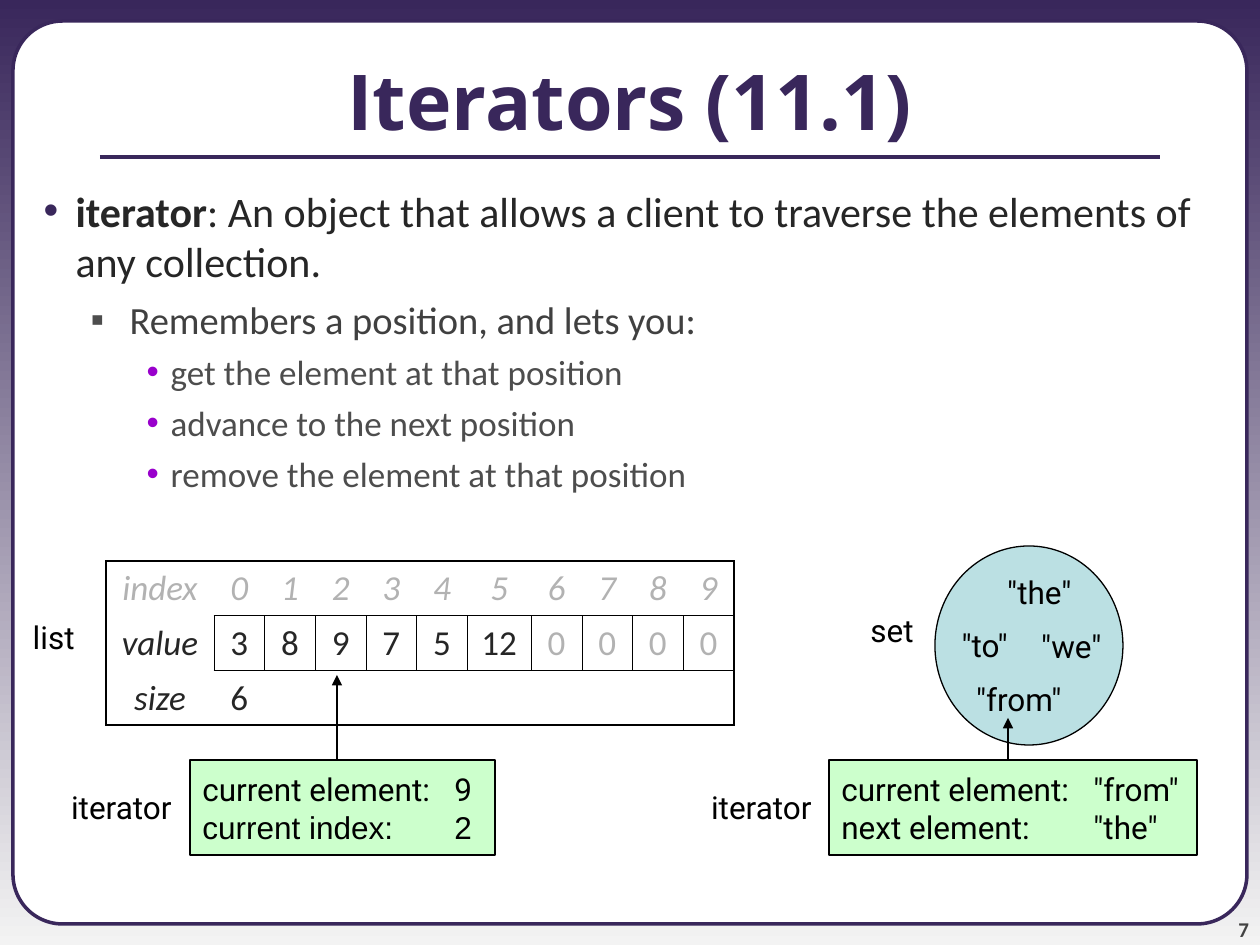
from typing import NamedTuple, Optional

from lxml import etree
from pptx import Presentation
from pptx.dml.color import RGBColor
from pptx.enum.shapes import MSO_CONNECTOR, MSO_SHAPE
from pptx.enum.text import MSO_ANCHOR, MSO_AUTO_SIZE, PP_ALIGN
from pptx.oxml.ns import qn
from pptx.util import Emu, Pt

PX_PER_INCH = 126
PURPLE = RGBColor(0x39, 0x27, 0x5B)
PALE_GREY = RGBColor(0xF3, 0xF3, 0xF3)
WHITE = RGBColor(0xFF, 0xFF, 0xFF)
BLACK = RGBColor(0x00, 0x00, 0x00)
INK = RGBColor(0x26, 0x26, 0x26)
CHARCOAL = RGBColor(0x40, 0x40, 0x40)
DIM = RGBColor(0x4D, 0x4D, 0x4D)
NUMBER_GREY = RGBColor(0x42, 0x42, 0x42)
UNUSED_GREY = RGBColor(0xB2, 0xB2, 0xB2)
VIOLET = RGBColor(0x99, 0x00, 0xCC)
GREEN = RGBColor(0xCC, 0xFF, 0xCC)
TEAL = RGBColor(0xBB, 0xE0, 0xE3)
LEFT, CENTER, RIGHT = PP_ALIGN.LEFT, PP_ALIGN.CENTER, PP_ALIGN.RIGHT
MIDDLE, BOTTOM = MSO_ANCHOR.MIDDLE, MSO_ANCHOR.BOTTOM
FIT_SHAPE, NO_FIT = MSO_AUTO_SIZE.SHAPE_TO_FIT_TEXT, MSO_AUTO_SIZE.NONE
STRAIGHT = MSO_CONNECTOR.STRAIGHT
RECTANGLE, ROUNDED, OVAL = MSO_SHAPE.RECTANGLE, MSO_SHAPE.ROUNDED_RECTANGLE, MSO_SHAPE.OVAL


class Box(NamedTuple):
    left: int
    top: int
    width: int
    height: int


class Level(NamedTuple):
    margin: int
    hanging: int
    bullet: str
    bullet_color: RGBColor
    size: int
    color: RGBColor
    space_before: float


class Label(NamedTuple):
    text: str
    box: Box


class IteratorCard(NamedTuple):
    lines: tuple
    fonts: tuple
    box: Box
    label: Label
    arrow_x: int
    arrow_tip: int


LEVELS = (
    Level(63, 32, "•", PURPLE, 24, INK, 6),
    Level(117, 39, "▪", DIM, 22, CHARCOAL, 5.5),
    Level(158, 24, "•", VIOLET, 20, DIM, 5),
)
BULLETS = (
    (0, "iterator: An object that allows a client to traverse the elements of any collection."),
    (1, "Remembers a position, and lets you:"),
    (2, "get the element at that position"),
    (2, "advance to the next position"),
    (2, "remove the element at that position"),
)
LIST_VALUES = (3, 8, 9, 7, 5, 12, 0, 0, 0, 0)
LIST_SIZE = 6
LABELS = (
    Label("list", Box(19, 612, 68, 50)),
    Label("set", Box(857, 605, 69, 50)),
)
SET_ELEMENTS = (
    Label('"the"', Box(984, 567, 100, 50)),
    Label('"to"', Box(939, 620, 81, 50)),
    Label('"from"', Box(951, 674, 123, 50)),
    Label('"we"', Box(1021, 621, 93, 50)),
)
CARDS = (
    IteratorCard(("current element:\t9", "current index:\t2"), ("Roboto", "Arial"),
                 Box(190, 760, 305, 95), Label("iterator", Box(48, 782, 136, 50)), 337, 675),
    IteratorCard(('current element:\t"from"', 'next element:\t"the"'), ("Roboto", "Roboto"),
                 Box(829, 760, 368, 95), Label("iterator", Box(688, 782, 136, 50)), 1008, 718),
)


def px(value: int) -> Emu:
    return Emu(round(value * 914400 / PX_PER_INCH))


def place(box: Box) -> tuple:
    return tuple(px(value) for value in box)


def style(paragraph, font: str, size: int, color: RGBColor, bold=False, italic=False) -> None:
    for run in paragraph.runs:
        run.font.name, run.font.size = font, Pt(size)
        run.font.bold, run.font.italic = bold, italic
        run.font.color.rgb = color


def add_shape(slide, kind, box: Box, fill: RGBColor, line: RGBColor, width: float):
    shape = slide.shapes.add_shape(kind, *place(box))
    shape.shadow.inherit = False
    shape.fill.solid()
    shape.fill.fore_color.rgb = fill
    shape.line.color.rgb = line
    shape.line.width = Pt(width)
    return shape


def add_line(slide, start: tuple, end: tuple, color: RGBColor, width: float, arrow=False):
    line = slide.shapes.add_connector(STRAIGHT, *(px(value) for value in start + end))
    line.line.color.rgb = color
    line.line.width = Pt(width)
    if arrow:
        etree.SubElement(line.line._get_or_add_ln(), qn("a:tailEnd"), type="triangle")
    etree.SubElement(line.element.spPr, qn("a:effectLst"))
    return line


def add_label(slide, label: Label) -> None:
    frame = slide.shapes.add_textbox(*place(label.box)).text_frame
    frame.word_wrap = False
    frame.auto_size = FIT_SHAPE
    frame.text = label.text
    frame.paragraphs[0].alignment = RIGHT
    style(frame.paragraphs[0], "Roboto", 18, BLACK)


def set_bullet(paragraph, level: Level) -> None:
    properties = paragraph._p.get_or_add_pPr()
    properties.set("marL", str(px(level.margin)))
    properties.set("indent", str(-px(level.hanging)))
    color = etree.SubElement(properties, qn("a:buClr"))
    etree.SubElement(color, qn("a:srgbClr"), val=str(level.bullet_color))
    etree.SubElement(properties, qn("a:buFont"), typeface="Arial")
    etree.SubElement(properties, qn("a:buChar"), char=level.bullet)


def fill_body(body) -> None:
    body.left, body.top, body.width, body.height = place(Box(0, 179, 1260, 766))
    frame = body.text_frame
    frame.text = "\n".join(text for _, text in BULLETS)
    frame.auto_size = NO_FIT
    for index, (paragraph, (depth, text)) in enumerate(zip(frame.paragraphs, BULLETS)):
        level = LEVELS[depth]
        paragraph.level = depth
        set_bullet(paragraph, level)
        paragraph.space_before = Pt(level.space_before if index else 0)
        if index == 0:
            term, colon, definition = text.partition(":")
            paragraph.runs[0].text = term
            paragraph.add_run().text = colon + definition
        style(paragraph, "Calibri", level.size, level.color)
    frame.paragraphs[0].runs[0].font.bold = True


def set_border(cell, side: str, width: Optional[float]) -> None:
    line = etree.SubElement(cell._tc.get_or_add_tcPr(), qn(f"a:ln{side}"))
    if width is None:
        etree.SubElement(line, qn("a:noFill"))
        return
    line.set("w", str(Pt(width)))
    fill = etree.SubElement(line, qn("a:solidFill"))
    etree.SubElement(fill, qn("a:srgbClr"), val=str(BLACK))


def add_list_table(slide) -> None:
    rows = (("index", *range(len(LIST_VALUES))), ("value", *LIST_VALUES), ("size", LIST_SIZE))
    last = len(LIST_VALUES)
    box = Box(106, 561, 628, 164)
    table = slide.shapes.add_table(len(rows), last + 1, *place(box)).table
    table.first_row = table.horz_banding = False
    # The heading and the two-digit column are wider; the rest share the space
    wide = {0: 108, 6: 64}
    narrow = px(box.width - sum(wide.values())) // (last + 1 - len(wide))
    for column, table_column in enumerate(table.columns):
        table_column.width = px(wide[column]) if column in wide else Emu(narrow)
    outer, inner = 1.08, 0.45
    for row, texts in enumerate(rows):
        for column in range(last + 1):
            cell = table.cell(row, column)
            across = inner if row == 1 else None
            down = inner if column else None
            set_border(cell, "L", across if column else outer)
            set_border(cell, "R", outer if column == last else across)
            set_border(cell, "T", down if row else outer)
            set_border(cell, "B", outer if row == 2 else down)
            cell.fill.background()
            if column < len(texts):
                cell.text = str(texts[column])
                paragraph = cell.text_frame.paragraphs[0]
                paragraph.alignment = CENTER
                unused = row == 0 or column > LIST_SIZE
                style(paragraph, "Calibri", 20, UNUSED_GREY if unused else INK,
                      italic=row == 0 or column == 0)


def add_card(slide, card: IteratorCard) -> None:
    frame = add_shape(slide, RECTANGLE, card.box, GREEN, BLACK, 0.75).text_frame
    frame.word_wrap = False
    frame.vertical_anchor = MIDDLE
    frame.text = "\n".join(card.lines)
    for paragraph, font in zip(frame.paragraphs, card.fonts):
        paragraph.alignment = LEFT
        tabs = etree.SubElement(paragraph._p.get_or_add_pPr(), qn("a:tabLst"))
        etree.SubElement(tabs, qn("a:tab"), pos=str(px(252)), algn="l")
        style(paragraph, font, 18, BLACK)
    add_line(slide, (card.arrow_x, card.box.top), (card.arrow_x, card.arrow_tip), BLACK, 0.75, True)
    add_label(slide, card.label)


def main() -> None:
    presentation = Presentation()
    presentation.slide_width, presentation.slide_height = px(1260), px(945)
    slide = presentation.slides.add_slide(presentation.slide_layouts[1])
    title, body = slide.shapes.title, slide.placeholders[1]

    # Background, panel and rule
    background = slide.background.fill
    background.gradient()
    background.gradient_angle = 270
    for stop, color in zip(background.gradient_stops, (PURPLE, PALE_GREY)):
        stop.color.rgb = color
    panel = add_shape(slide, ROUNDED, Box(13, 21, 1234, 903), WHITE, PURPLE, 2)
    panel.adjustments[0] = 0.055
    rule = add_line(slide, (100, 157), (1160, 157), PURPLE, 2.25)

    # Slide number
    frame = slide.shapes.add_textbox(*place(Box(1144, 892, 105, 50))).text_frame
    frame.margin_left = frame.margin_right = frame.margin_top = frame.margin_bottom = 0
    frame.word_wrap = True
    frame.vertical_anchor = BOTTOM
    frame.text = "7"
    frame.paragraphs[0].alignment = RIGHT
    style(frame.paragraphs[0], "Calibri", 12, NUMBER_GREY, bold=True)

    # Title and body, raised above the panel
    rule.element.addnext(title.element)
    title.element.addnext(body.element)
    title.left, title.top, title.width, title.height = place(Box(0, 21, 1260, 158))
    title.text_frame.text = "Iterators (11.1)"
    title.text_frame.auto_size = NO_FIT
    title.text_frame.vertical_anchor = MIDDLE
    title.text_frame.paragraphs[0].alignment = CENTER
    style(title.text_frame.paragraphs[0], "Open Sans", 44, PURPLE, bold=True)
    fill_body(body)

    # List and set with their iterators
    add_list_table(slide)
    add_shape(slide, OVAL, Box(935, 546, 188, 199), TEAL, BLACK, 0.75)
    for label in LABELS + SET_ELEMENTS:
        add_label(slide, label)
    for card in CARDS:
        add_card(slide, card)

    presentation.save("out.pptx")


if __name__ == "__main__":
    main()
